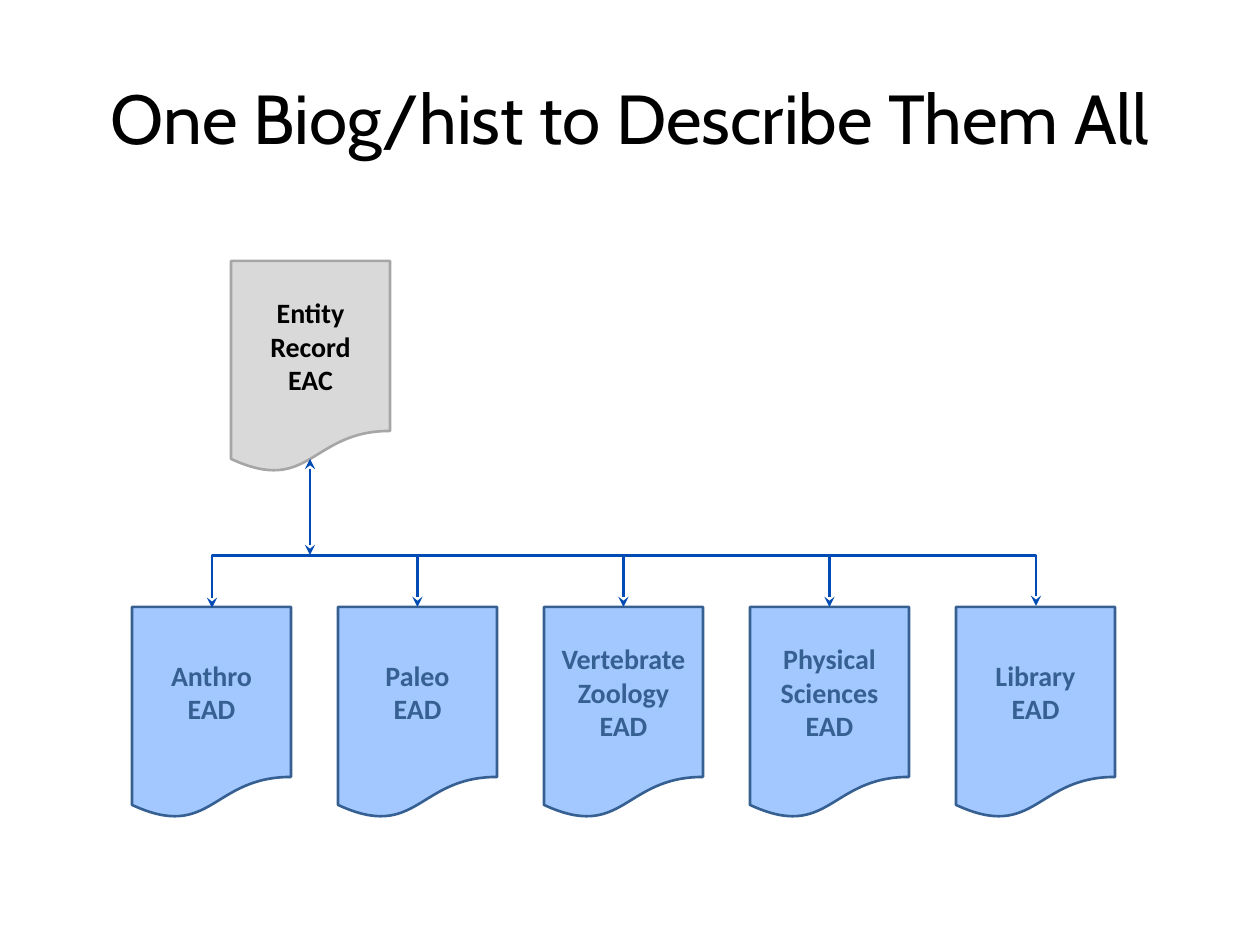
"""Builds a slide where one entity record feeds five finding aids."""
from lxml.etree import SubElement
from pptx import Presentation
from pptx.dml.color import RGBColor
from pptx.enum.shapes import MSO_CONNECTOR, MSO_SHAPE
from pptx.enum.text import MSO_ANCHOR, PP_ALIGN
from pptx.oxml.ns import qn
from pptx.util import Pt

PX = 914400 / 126
HUES = {"ink": "000000", "wire": "004BB4", "gray": "D9D9D9",
        "edge": "A6A6A6", "sky": "A3C8FF", "navy": "366092"}
TITLE = "One Biog/hist to Describe Them All"
ROOT = ["Entity Record", "EAC"]
AIDS = ["Anthro", "Paleo", "Vertebrate Zoology", "Physical Sciences", "Library"]
WIDE, HIGH = 159, 212
LEFT, TOP, STEP = 132, 607, 206
BUS, DROP = 555, 53


def emu(*nums):
    return [round(n * PX) for n in nums]


def hue(name):
    return RGBColor.from_string(HUES[name])


def write(shape, lines, size, font, color, bold, pad):
    frame = shape.text_frame
    side, edge = emu(*pad)
    look = {"word_wrap": True, "vertical_anchor": MSO_ANCHOR.MIDDLE,
            "margin_left": side, "margin_right": side,
            "margin_top": edge, "margin_bottom": edge}
    for key, val in look.items():
        setattr(frame, key, val)
    frame.text = "\n".join(lines)
    for para in frame.paragraphs:
        para.alignment = PP_ALIGN.CENTER
        for key, val in {"size": Pt(size), "name": font, "bold": bold}.items():
            setattr(para.runs[0].font, key, val)
        para.runs[0].font.color.rgb = hue(color)


def page(slide, x, y, lines, fill, line, ink):
    doc = slide.shapes.add_shape(MSO_SHAPE.FLOWCHART_DOCUMENT, *emu(x, y, WIDE, HIGH))
    doc.shadow.inherit = False
    doc.fill.solid()
    doc.fill.fore_color.rgb = hue(fill)
    doc.line.color.rgb = hue(line)
    doc.line.width = Pt(1.5)
    write(doc, lines, 16, "Calibri", ink, True, (13, 13))
    return doc


def wire(slide, kind, ends, heads):
    link = slide.shapes.add_connector(kind, *emu(*ends))
    link.line.color.rgb = hue("wire")
    link.line.width = Pt(1.5)
    for head in heads:
        SubElement(link.line._get_or_add_ln(), qn(f"a:{head}"), type="stealth")
    SubElement(link._element.spPr, qn("a:effectLst"))
    return link


def bus(slide, first, last):
    mid, half = (first + last) // 2, (last - first) // 2
    ends = (mid + 1, TOP + half, mid - 1, TOP - half)
    link = wire(slide, MSO_CONNECTOR.ELBOW, ends, ["headEnd", "tailEnd"])
    props = link._element.spPr
    props.find(qn("a:xfrm")).set("rot", "5400000")
    geom = props.find(qn("a:prstGeom"))
    bends = geom.find(qn("a:avLst"))
    if bends is None:
        bends = SubElement(geom, qn("a:avLst"))
    SubElement(bends, qn("a:gd"), name="adj1", fmla=f"val {DROP * 100000 // 2}")


def main():
    deck = Presentation()
    deck.slide_width, deck.slide_height = emu(1260, 945)
    slide = deck.slides.add_slide(deck.slide_layouts[6])
    title = slide.shapes.add_textbox(*emu(63, 38, 1134, 157))
    write(title, [TITLE], 39.6, "Cabin", "ink", False, (13, 6))

    page(slide, 231, 261, ROOT, "gray", "edge", "ink")
    wire(slide, MSO_CONNECTOR.STRAIGHT, (310, 459, 310, BUS), ["headEnd", "tailEnd"])

    docs = [page(slide, LEFT + i * STEP, TOP, [name, "EAD"], "sky", "navy", "navy")
            for i, name in enumerate(AIDS)]
    mids = [LEFT + i * STEP + WIDE // 2 + 1 for i in range(len(AIDS))]
    bus(slide, mids[0], mids[-1])
    for x, doc in list(zip(mids, docs))[1:-1]:
        link = wire(slide, MSO_CONNECTOR.STRAIGHT, (x, BUS, x, TOP), ["tailEnd"])
        link.end_connect(doc, 0)
        link.begin_x = link.end_x
    deck.save("out.pptx")


if __name__ == "__main__":
    main()
